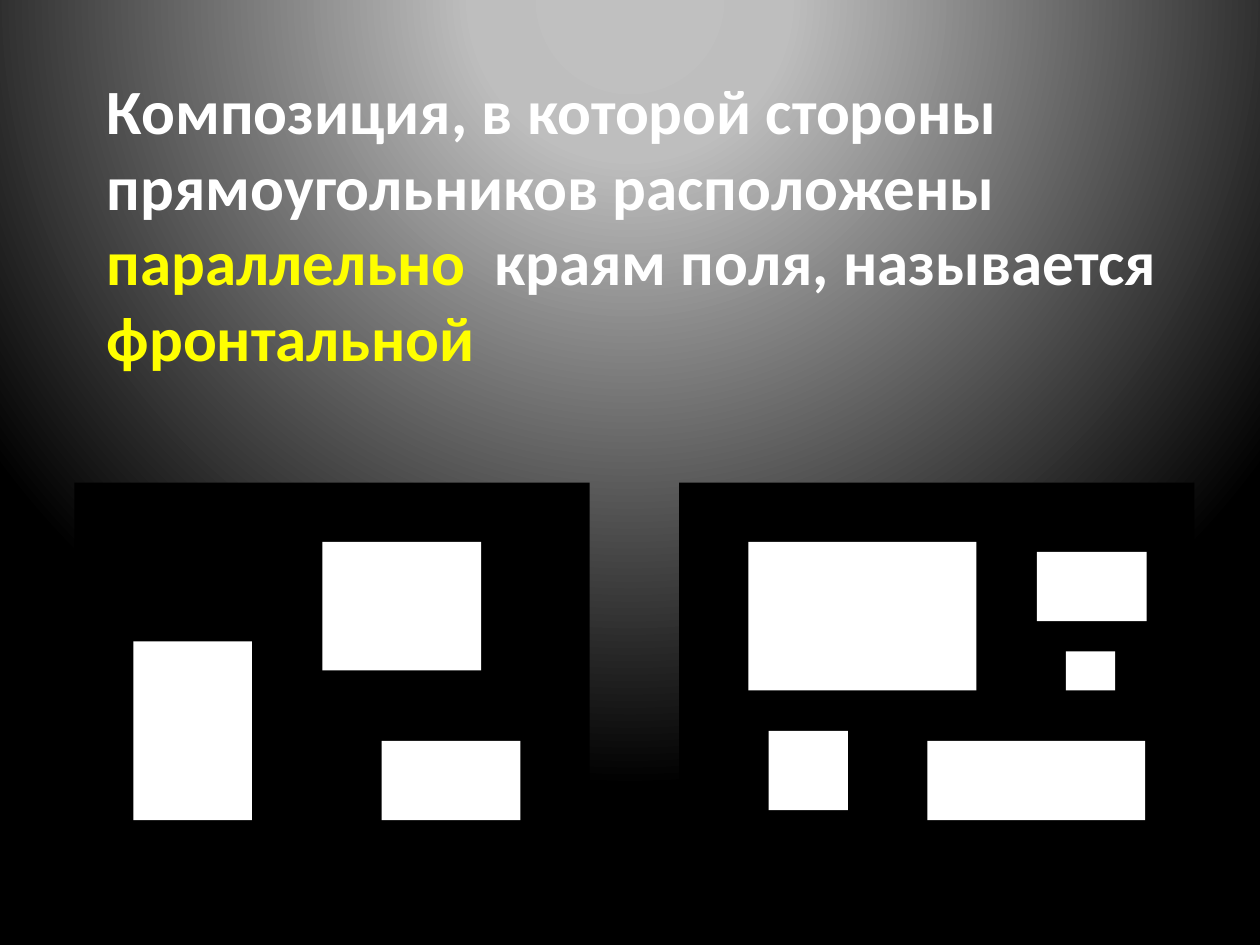
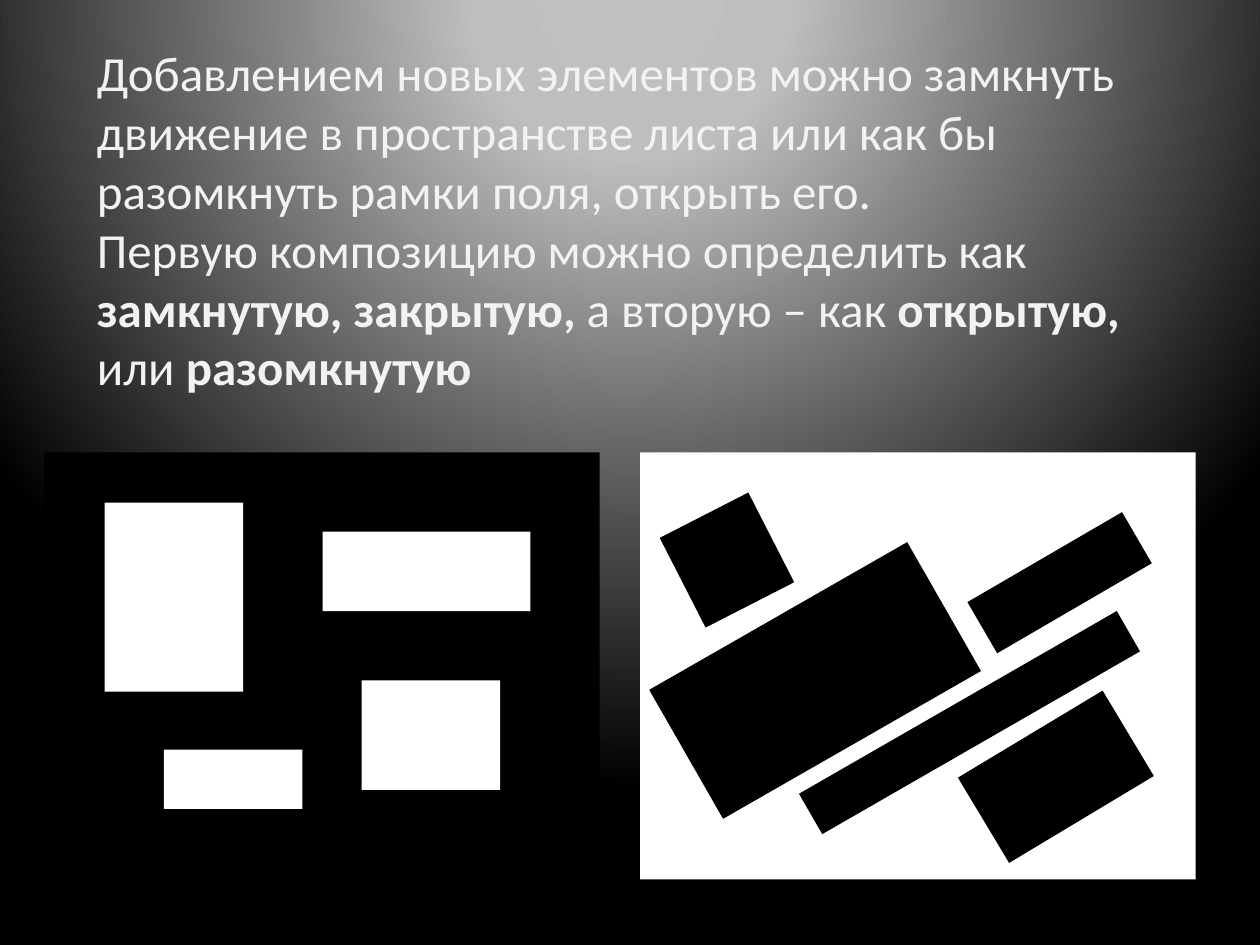
import pptx
import pptx.dml.color
import pptx.enum.shapes
import pptx.enum.text
import pptx.oxml
import pptx.util
from pptx.util import Inches

FONT = "Calibri"
BLACK, WHITE, PALE, YELLOW = "000000", "FFFFFF", "F2F2F2", "FFFF00"
GLOW = [(0, "C0C0C0"), (12, "C0C0C0"), (20, "BEBEBE"), (100, BLACK)]


def color(code):
    return pptx.dml.color.RGBColor.from_string(code)


class Deck:
    def __init__(self):
        self.prs = pptx.Presentation()
        self.prs.slide_width = Inches(10)
        self.prs.slide_height = Inches(7.5)
        self.slide = None
        self.glow()

    def glow(self):
        """Give the master a round gradient lit from above the top edge."""
        fill = self.prs.slide_master.background.fill
        fill.gradient()
        stops = "".join(
            f'<a:gs pos="{pos * 1000}"><a:srgbClr val="{code}"/></a:gs>'
            for pos, code in GLOW)
        new = pptx.oxml.parse_xml(
            '<a:gradFill rotWithShape="1" xmlns:a='
            '"http://schemas.openxmlformats.org/drawingml/2006/main">'
            f'<a:gsLst>{stops}</a:gsLst><a:path path="circle">'
            '<a:fillToRect l="10000" t="-25000" r="10000" b="125000"/>'
            '</a:path></a:gradFill>')
        master = self.prs.slide_master.element
        old = master.xpath("./p:cSld/p:bg//a:gradFill")[0]
        old.getparent().replace(old, new)

    def page(self):
        blank = self.prs.slide_layouts.get_by_name("Blank")
        self.slide = self.prs.slides.add_slide(blank)

    def block(self, code, left, top, width, height, turn=0):
        shape = self.slide.shapes.add_shape(
            pptx.enum.shapes.MSO_SHAPE.RECTANGLE,
            Inches(left), Inches(top), Inches(width), Inches(height))
        shape.shadow.inherit = False
        shape.fill.solid()
        shape.fill.fore_color.rgb = color(code)
        shape.line.fill.background()
        shape.rotation = turn

    def field(self, code, ink, frame, parts):
        """Draw one composition: a field and the rectangles on it."""
        self.block(code, *frame)
        for part in parts:
            self.block(ink, *part)

    def text(self, left, top, width, height, size, paras):
        """Each paragraph is a list of (words, colour, bold) runs."""
        box = self.slide.shapes.add_textbox(
            Inches(left), Inches(top), Inches(width), Inches(height))
        frame = box.text_frame
        frame.word_wrap = True
        frame.auto_size = pptx.enum.text.MSO_AUTO_SIZE.SHAPE_TO_FIT_TEXT
        for i, runs in enumerate(paras):
            para = frame.add_paragraph() if i else frame.paragraphs[0]
            for words, code, bold in runs:
                run = para.add_run()
                run.text = words
                run.font.name = FONT
                run.font.size = pptx.util.Pt(size)
                run.font.bold = bold
                run.font.color.rgb = color(code)


def frontal(deck):
    deck.page()
    top, width, height = 3.83, 4.09, 3.15
    deck.field(BLACK, WHITE, (0.59, top, width, height), [
        (1.06, 5.09, 0.94, 1.42),
        (2.56, 4.3, 1.26, 1.02),
        (3.03, 5.88, 1.1, 0.63),
    ])
    deck.field(BLACK, WHITE, (5.39, top, width, height), [
        (5.94, 4.3, 1.81, 1.18),
        (7.36, 5.88, 1.73, 0.63),
        (8.23, 4.38, 0.87, 0.55),
        (8.46, 5.17, 0.39, 0.31),
        (6.1, 5.8, 0.63, 0.63),
    ])
    deck.text(0.75, 0.52, 8.74, 2.52, 36, [[
        ("Композиция, в которой стороны прямоугольников расположены ",
         WHITE, True),
        ("параллельно ", YELLOW, True),
        (" краям поля, называется ", WHITE, True),
        ("фронтальной", YELLOW, True),
    ]])


def closure(deck):
    """Closed composition on the left, open one on the right."""
    deck.page()
    top, width, height = 3.59, 4.41, 3.39
    deck.field(BLACK, WHITE, (0.35, top, width, height), [
        (0.83, 3.99, 1.1, 1.5),
        (2.56, 4.22, 1.65, 0.63),
        (2.87, 5.4, 1.1, 0.87),
        (1.3, 5.95, 1.1, 0.47),
    ])
    deck.field(WHITE, BLACK, (5.08, top, width, height), [
        (5.29, 4.81, 2.36, 1.18, 330.2),
        (7.7, 4.39, 1.42, 0.47, 329.8),
        (7.71, 5.77, 1.34, 0.79, 329),
        (6.24, 5.55, 2.91, 0.37, 330.1),
        (5.37, 4.05, 0.8, 0.79, 62.9),
    ])
    deck.text(0.67, 0.29, 8.98, 2.93, 28, [
        [("Добавлением новых элементов можно замкнуть движение в "
          "пространстве листа или как бы разомкнуть рамки поля, "
          "открыть его.", PALE, False)],
        [("Первую композицию можно определить как ", PALE, False),
         ("замкнутую, закрытую, ", PALE, True),
         ("а вторую – как ", PALE, False),
         ("открытую, ", PALE, True),
         ("или ", PALE, False),
         ("разомкнутую", PALE, True)],
    ])


def main():
    deck = Deck()
    frontal(deck)
    closure(deck)
    deck.prs.save("out.pptx")


if __name__ == "__main__":
    main()
